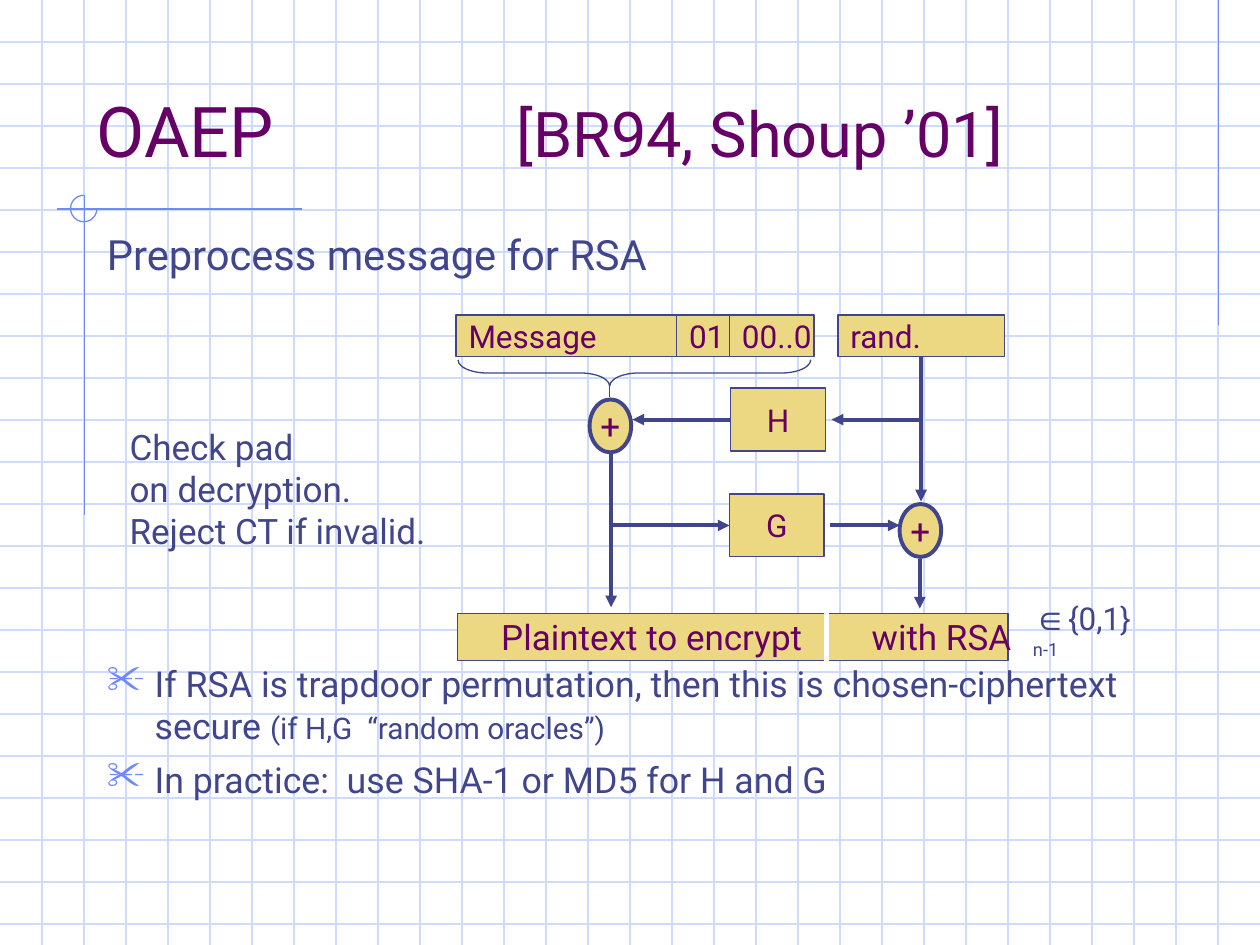
from lxml import etree
from pptx import Presentation
from pptx.dml.color import RGBColor
from pptx.enum.shapes import MSO_CONNECTOR, MSO_SHAPE
from pptx.enum.text import MSO_ANCHOR, PP_ALIGN
from pptx.oxml.ns import qn
from pptx.util import Inches, Pt

LINE = MSO_CONNECTOR.STRAIGHT
RECT, OVAL = MSO_SHAPE.RECTANGLE, MSO_SHAPE.OVAL
ARC, BRACE = MSO_SHAPE.ARC, MSO_SHAPE.LEFT_BRACE
TOP, MID, BOTTOM = MSO_ANCHOR.TOP, MSO_ANCHOR.MIDDLE, MSO_ANCHOR.BOTTOM
LEFT, CENTER = PP_ALIGN.LEFT, PP_ALIGN.CENTER

GRID, ACCENT, NAVY = "CFDBFD", "6F89F7", "40458C"
PLUM, SAND, WHITE = "660066", "ECD882", "FFFFFF"
FONT = "Roboto"


def rgb(code):
    return RGBColor.from_string(code)


def add_line(slide, start, end, color=NAVY, width=0.75, arrow=False):
    line = slide.shapes.add_connector(LINE, *map(Inches, start + end))
    line.line.color.rgb = rgb(color)
    line.line.width = Pt(width)
    if arrow:
        etree.SubElement(line.line._get_or_add_ln(), qn("a:tailEnd"), type="triangle")
    etree.SubElement(line._element.spPr, qn("a:effectLst"))
    return line


def add_arrow(slide, start, end):
    return add_line(slide, start, end, width=2.25, arrow=True)


def add_run(para, text, size, color=NAVY, font=FONT):
    run = para.add_run()
    run.text = text
    run.font.size = Pt(size)
    run.font.name = font
    run.font.color.rgb = rgb(color)
    return run


def set_tab(para, pos):
    tabs = etree.SubElement(para._p.get_or_add_pPr(), qn("a:tabLst"))
    etree.SubElement(tabs, qn("a:tab"), pos=str(Inches(pos)), algn="l")


def set_bullet(para, char, color, indent):
    props = para._p.get_or_add_pPr()
    props.set("marL", str(Inches(indent)))
    props.set("indent", str(-Inches(indent)))
    fill = etree.SubElement(props, qn("a:buClr"))
    etree.SubElement(fill, qn("a:srgbClr"), val=color)
    etree.SubElement(props, qn("a:buSzPct"), val="110000")
    etree.SubElement(props, qn("a:buChar"), char=char)


def add_shape(slide, kind, box, fill=None, width=0.75, color=NAVY):
    shape = slide.shapes.add_shape(kind, *map(Inches, box))
    shape.shadow.inherit = False
    shape.line.color.rgb = rgb(color)
    shape.line.width = Pt(width)
    if fill:
        shape.fill.solid()
        shape.fill.fore_color.rgb = rgb(fill)
    else:
        shape.fill.background()
    return shape


def add_block(slide, kind, box, text, size=18, align=LEFT, width=0.75):
    """Draw a sand-filled part of the scheme with its label."""
    shape = add_shape(slide, kind, box, SAND, width)
    frame = shape.text_frame
    frame.word_wrap = False
    frame.vertical_anchor = MID
    para = frame.paragraphs[0]
    para.alignment = align
    add_run(para, text, size, PLUM)
    return shape


def add_text(slide, box, anchor=TOP, wrap=True):
    frame = slide.shapes.add_textbox(*map(Inches, box)).text_frame
    frame.word_wrap = wrap
    frame.vertical_anchor = anchor
    return frame


def draw_paper(slide):
    """Draw the squared paper and its corner marks."""
    for i in range(1, 23):
        add_line(slide, (0, i / 3), (10, i / 3), GRID)
    for i in range(1, 30):
        add_line(slide, (i / 3, 0), (i / 3, 7.5), GRID)
    add_line(slide, (9.67, 0), (9.67, 2.58), ACCENT)
    add_line(slide, (2.4, 1.66), (0.45, 1.66), ACCENT)
    add_line(slide, (0.67, 1.55), (0.67, 4.09), ACCENT)
    arc = add_shape(slide, ARC, (0.56, 1.55, 0.21, 0.21), color=ACCENT)
    # Angles count in 60000ths of a degree, adjustments in 100000ths.
    arc.adjustments[0] = 0
    arc.adjustments[1] = 270 * 0.6


def write_text(slide):
    para = add_text(slide, (0.67, 0.33, 8.5, 1.08), BOTTOM).paragraphs[0]
    set_tab(para, 3.33)
    add_run(para, "OAEP\t", 40, PLUM)
    add_run(para, "[BR94, Shoup ’01]", 36, PLUM)

    para = add_text(slide, (0.75, 1.77, 8.83, 0.5)).paragraphs[0]
    add_run(para, "Preprocess message for RSA", 23.8)

    points = [
        [("If RSA is trapdoor permutation, then this is chosen-ciphertext secure ", 20.4),
         ("(if H,G  “random oracles”)", 17)],
        [("In practice:  use SHA-1 or MD5 for H and G", 20.4)],
    ]
    frame = add_text(slide, (0.75, 5.2, 8.83, 1.2))
    for i, runs in enumerate(points):
        para = frame.add_paragraph() if i else frame.paragraphs[0]
        set_bullet(para, "✂", ACCENT, 0.38)
        if i:
            para.space_before = Pt(6)
        for text, size in runs:
            add_run(para, text, size)

    para = add_text(slide, (0.93, 3.33, 2.64, 1.1), wrap=False).paragraphs[0]
    for i, text in enumerate(["Check pad", "on decryption.", "Reject CT if invalid."]):
        if i:
            para.add_line_break()
        add_run(para, text, 20)

    para = add_text(slide, (8.1, 4.68, 1.16, 0.44), wrap=False).paragraphs[0]
    add_run(para, "∈", 20, font="Arial")
    add_run(para, "{0,1}", 18)
    para.add_line_break()
    power = add_run(para, "n-1", 18)
    power._r.get_or_add_rPr().set("baseline", "50000")


def draw_scheme(slide):
    hash_h = add_block(slide, RECT, (5.8, 3.08, 0.75, 0.5), "H", align=CENTER)
    hash_g = add_block(slide, RECT, (5.79, 3.92, 0.75, 0.5), "G", align=CENTER)
    for left, top in [(4.68, 3.17), (7.14, 4)]:
        add_block(slide, OVAL, (left, top, 0.33, 0.42), "+", 20, CENTER, 2.25)

    rand = add_block(slide, RECT, (6.65, 2.5, 1.32, 0.33), "rand.")
    left = 3.62
    for text, width in [("Message", 1.75), ("01", 0.42), ("00..0", 0.67)]:
        add_block(slide, RECT, (left, 2.5, width, 0.33), text)
        left += width

    output = add_block(slide, RECT, (3.63, 4.87, 4.37, 0.37),
                       "Plaintext to encrypt\twith RSA", 20)
    para = output.text_frame.paragraphs[0]
    para._p.get_or_add_pPr().set("marL", str(Inches(0.25)))
    set_tab(para, 2.94)
    add_line(slide, (6.56, 4.85), (6.56, 5.27), WHITE, 3)

    add_arrow(slide, (7.31, 2.83), (7.31, 3.98)).begin_connect(rand, 2)
    add_arrow(slide, (5.8, 3.33), (5.02, 3.33)).begin_connect(hash_h, 1)
    add_arrow(slide, (4.84, 4.17), (5.79, 4.17)).end_connect(hash_g, 1)
    for start, end in [((7.3, 3.33), (6.6, 3.33)), ((6.59, 4.17), (7.14, 4.17)),
                       ((4.85, 3.59), (4.85, 4.82)), ((7.3, 4.44), (7.3, 4.83))]:
        add_arrow(slide, start, end)

    brace = add_shape(slide, BRACE, (4.93, 1.56, 0.21, 2.8))
    brace.rotation = 270
    brace.adjustments[0] = 1.1
    brace.adjustments[1] = 0.43
    add_line(slide, (4.84, 3.05), (4.84, 3.15))


def main():
    deck = Presentation()
    deck.slide_width, deck.slide_height = Inches(10), Inches(7.5)
    slide = deck.slides.add_slide(deck.slide_layouts[6])
    draw_paper(slide)
    write_text(slide)
    draw_scheme(slide)
    deck.save("out.pptx")


if __name__ == "__main__":
    main()
